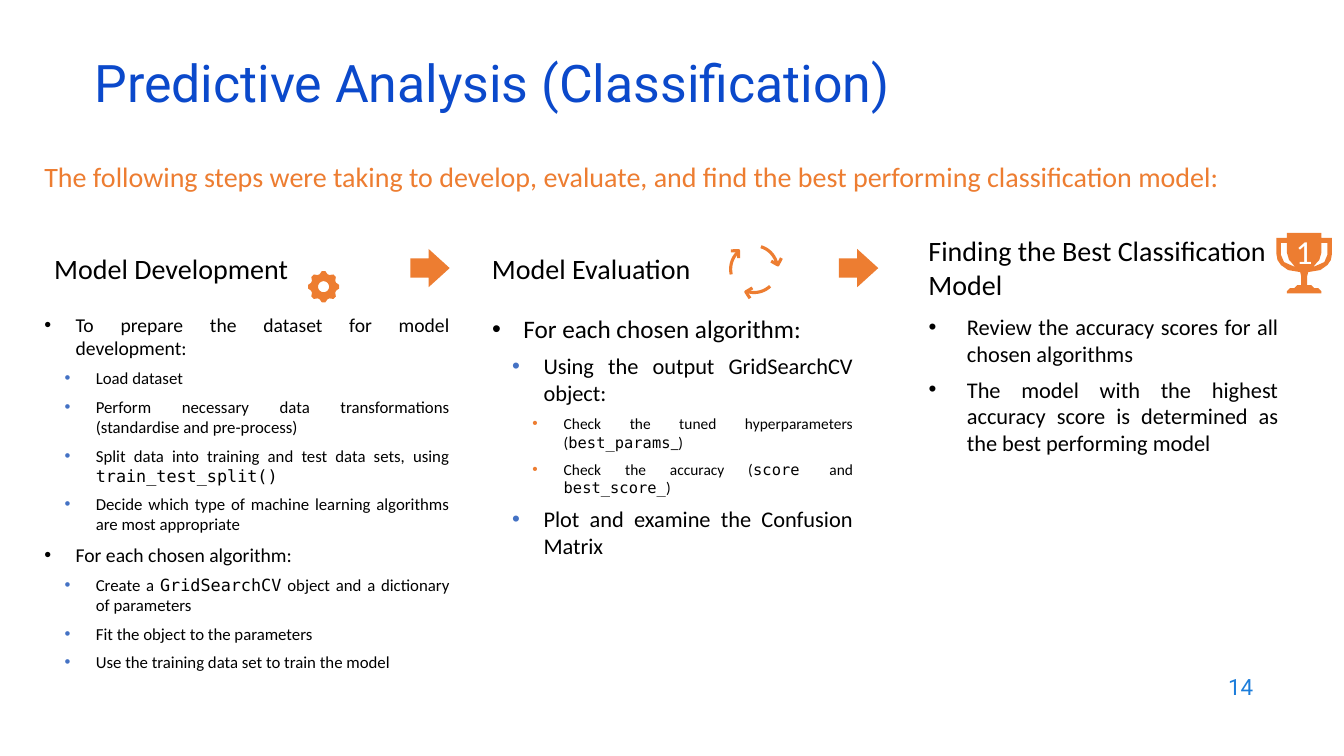
import dataclasses
import math
from typing import Any, NamedTuple, Sequence

import pptx
import pptx.dml.color
import pptx.enum.shapes
import pptx.enum.text
import pptx.oxml.ns
import pptx.util
from lxml import etree

ALIGN = pptx.enum.text.PP_ALIGN
ANCHOR = pptx.enum.text.MSO_ANCHOR
Outline = Sequence[tuple[float, float]]


@dataclasses.dataclass(frozen=True)
class Theme:
    ink: str = "000000"
    accent: str = "ED7D31"
    title: str = "0B49CB"
    number: str = "1C7DDB"
    paper: str = "FFFFFF"
    bullets: tuple[str, ...] = ("000000", "4472C4", "ED7D31")
    sans: str = "Calibri"
    display: str = "Roboto"
    mono: str = "DejaVu Sans Mono"
    title_size: int = 37
    icon_size: int = 24
    heading_size: int = 20
    number_size: int = 16
    # Type size of each list level, one row per stage
    develop_sizes: tuple[int, ...] = (14, 12)
    evaluate_sizes: tuple[int, ...] = (18, 16, 11)
    select_sizes: tuple[int, ...] = (16,)


class Area(NamedTuple):
    """Place in columns and rows; the slide has 100 of each."""
    left: float
    top: float
    width: float
    height: float


class Item(NamedTuple):
    level: int
    text: str  # backticks enclose code


class Stage(NamedTuple):
    heading: str
    heading_area: Area
    heading_anchor: Any
    placeholder: int
    list_area: Area
    inset: bool
    hanging: float
    sizes: tuple[int, ...]
    items: list[Item]


THEME = Theme()
WIDTH, HEIGHT = pptx.util.Inches(13.33), pptx.util.Inches(7.5)
COLUMN, ROW = WIDTH / 100, HEIGHT / 100
LEVEL_STEP = 1.5
GAP = pptx.util.Pt(6)

STAGES = [
    Stage("Model Development", Area(3.3, 30.4, 28.36, 10.27), ANCHOR.MIDDLE,
          1, Area(3.3, 41.33, 30.16, 49.6), False, 2.33, THEME.develop_sizes, [
              Item(0, "To prepare the dataset for model development:"),
              Item(1, "Load dataset"),
              Item(1, "Perform necessary data transformations (standardise and pre-process)"),
              Item(1, "Split data into training and test data sets, using `train_test_split()`"),
              Item(1, "Decide which type of machine learning algorithms are most appropriate"),
              Item(0, "For each chosen algorithm:"),
              Item(1, "Create a `GridSearchCV` object and a dictionary of parameters"),
              Item(1, "Fit the object to the parameters"),
              Item(1, "Use the training data set to train the model")]),
    Stage("Model Evaluation", Area(35.86, 30.93, 20.93, 9.2), ANCHOR.MIDDLE,
          2, Area(35.86, 40.8, 28.36, 50.13), True, 2.33, THEME.evaluate_sizes, [
              Item(0, "For each chosen algorithm:"),
              Item(1, "Using the output GridSearchCV object:"),
              Item(2, "Check the tuned hyperparameters (`best_params`_)"),
              Item(2, "Check the accuracy (`score `and `best_score_`)"),
              Item(1, "Plot and examine the Confusion Matrix")]),
    Stage("Finding the Best Classification Model", Area(68.34, 30.27, 28.36, 10.53), ANCHOR.TOP,
          4, Area(68.34, 40.8, 27.53, 50.13), True, 2.85, THEME.select_sizes, [
              Item(0, "Review the accuracy scores for all chosen algorithms"),
              Item(0, "The model with the highest accuracy score is determined "
                      "as the best performing model")]),
]
STAGE_ARROWS = [Area(left, 32.93, 2.93, 5.07) for left in (30.53, 62.42)]

# Right halves of the trophy, in rows from the middle of its top edge
CUP = [(2.27, 0), (2.27, .67), (3.67, .67), (3.67, 2.8), (3.53, 3.6), (3.07, 4.27),
       (2.13, 4.93), (.53, 5.2), (.4, 5.73), (.4, 6.93), (.93, 6.93), (1.33, 7.33),
       (1.87, 7.33), (2.27, 7.73), (2.27, 8)]
HANDLE = [(2.27, 1.33), (3.07, 1.33), (3.07, 2.93), (2.67, 3.87), (1.2, 4.53),
          (1.73, 3.87), (2, 3.6), (2.27, 2.67)]


def apply(target: Any, values: dict[str, Any]) -> None:
    for name, value in values.items():
        setattr(target, name, value)


def rgb(color: str) -> pptx.dml.color.RGBColor:
    return pptx.dml.color.RGBColor.from_string(color)


def emu(area: Area) -> dict[str, int]:
    return {"left": round(area.left * COLUMN), "top": round(area.top * ROW),
            "width": round(area.width * COLUMN), "height": round(area.height * ROW)}


def set_frame(frame: Any, anchor: Any, inset: bool = True) -> None:
    apply(frame, {"word_wrap": True, "vertical_anchor": anchor,
                  "auto_size": pptx.enum.text.MSO_AUTO_SIZE.NONE})
    if not inset:
        apply(frame, dict.fromkeys(
            ("margin_left", "margin_top", "margin_right", "margin_bottom"), 0))


def write(paragraph: Any, text: str, size: int, color: str, face: str = THEME.sans,
          align: Any = ALIGN.LEFT, after: int = 0, spacing: float = 1.0) -> None:
    apply(paragraph, {"alignment": align, "space_before": 0, "space_after": after,
                      "line_spacing": spacing})
    for index, part in enumerate(text.split("`")):
        if part:
            run = paragraph.add_run()
            run.text = part
            apply(run.font, {"size": pptx.util.Pt(size), "bold": False,
                             "name": THEME.mono if index % 2 else face})
            run.font.color.rgb = rgb(color)


def add_bullet(paragraph: Any, level: int, hanging: float) -> None:
    qn = pptx.oxml.ns.qn
    paragraph.level = level
    properties = paragraph._p.get_or_add_pPr()
    properties.set("marL", str(round((hanging + level * LEVEL_STEP) * COLUMN)))
    properties.set("indent", str(round(-hanging * COLUMN)))
    tint = etree.SubElement(properties, qn("a:buClr"))
    etree.SubElement(tint, qn("a:srgbClr"), val=THEME.bullets[level])
    etree.SubElement(properties, qn("a:buFont"), typeface="Arial")
    etree.SubElement(properties, qn("a:buChar"), char="•")


def add_label(slide: Any, area: Area, anchor: Any) -> Any:
    """Add an empty text box and return its first paragraph."""
    frame = slide.shapes.add_textbox(**emu(area)).text_frame
    set_frame(frame, anchor)
    return frame.paragraphs[0]


def place(placeholder: Any, area: Area, anchor: Any, inset: bool = True) -> Any:
    """Move a placeholder and return its text frame."""
    apply(placeholder, emu(area))
    set_frame(placeholder.text_frame, anchor, inset)
    return placeholder.text_frame


def add_stage(slide: Any, stage: Stage) -> None:
    write(add_label(slide, stage.heading_area, stage.heading_anchor),
          stage.heading, THEME.heading_size, THEME.ink, after=GAP)
    frame = place(slide.placeholders[stage.placeholder], stage.list_area, ANCHOR.TOP, stage.inset)
    for index, item in enumerate(stage.items):
        paragraph = frame.add_paragraph() if index else frame.paragraphs[0]
        add_bullet(paragraph, item.level, stage.hanging)
        write(paragraph, item.text, stage.sizes[item.level], THEME.ink,
              align=ALIGN.JUSTIFY, after=GAP)


def fill_accent(shape: Any) -> None:
    shape.shadow.inherit = False
    shape.fill.solid()
    shape.fill.fore_color.rgb = rgb(THEME.accent)
    shape.line.fill.background()


def add_outlines(slide: Any, column: float, row: float, outlines: Sequence[Outline],
                 stroke: float = 0) -> Any:
    """Draw outlines given in rows around a grid point: filled, or open when stroked."""
    contours = [[(round(column * COLUMN + x * ROW), round((row + y) * ROW)) for x, y in outline]
                for outline in outlines]
    builder = slide.shapes.build_freeform(*contours[0][0], scale=1.0)
    for index, contour in enumerate(contours):
        if index:
            builder.move_to(*contour[0])
        builder.add_line_segments(contour[1:], close=not stroke)
    shape = builder.convert_to_shape()
    fill_accent(shape)
    if stroke:
        shape.fill.background()
        shape.line.color.rgb = rgb(THEME.accent)
        shape.line.width = pptx.util.Pt(stroke)
    return shape


def polar(radius: float, degrees: float) -> tuple[float, float]:
    angle = math.radians(degrees)
    return radius * math.cos(angle), radius * math.sin(angle)


def add_gear(slide: Any) -> None:
    teeth = [polar(radius, tooth + offset) for tooth in range(0, 360, 45)
             for radius, offset in ((1.73, -18), (2.07, -6.5), (2.07, 6.5), (1.73, 18))]
    hole = [polar(.73, -angle) for angle in range(0, 360, 15)]
    add_outlines(slide, 24.08, 37.93, [teeth, hole])


def add_cycle(slide: Any) -> None:
    for start in (-73, 47, 167):
        arc = [polar(3.1, start + sweep) for sweep in range(0, 61, 5)]
        head = [polar(2.5, start + 48), polar(3.2, start + 63), polar(3.9, start + 51)]
        add_outlines(slide, 56.11, 35.6, [arc, head], stroke=2.25)


def add_trophy(slide: Any) -> None:
    left_handle = [(-x, y) for x, y in HANDLE]
    cup = CUP + [(-x, y) for x, y in reversed(CUP)]
    frame = add_outlines(slide, 97.04, 30.8, [cup, HANDLE[::-1], left_handle]).text_frame
    set_frame(frame, ANCHOR.MIDDLE, inset=False)
    frame.margin_bottom = round(3.2 * ROW)
    write(frame.paragraphs[0], "1", THEME.icon_size, THEME.paper, align=ALIGN.CENTER)


def main() -> None:
    deck = pptx.Presentation()
    apply(deck, {"slide_width": WIDTH, "slide_height": HEIGHT})
    slide = deck.slides.add_slide(deck.slide_layouts.get_by_name("Comparison"))

    title = place(slide.shapes.title, Area(6.3, 7.87, 86.27, 8), ANCHOR.MIDDLE)
    write(title.paragraphs[0], "Predictive Analysis (Classification)", THEME.title_size,
          THEME.title, THEME.display, spacing=.7)
    lead = place(slide.placeholders[3], Area(3.3, 21.07, 93.55, 8), ANCHOR.TOP, inset=False)
    write(lead.paragraphs[0], "The following steps were taking to develop, evaluate, and find "
          "the best performing classification model:", THEME.heading_size, THEME.accent, after=GAP)

    for stage in STAGES:
        add_stage(slide, stage)
    for area in STAGE_ARROWS:
        arrow = slide.shapes.add_shape(
            pptx.enum.shapes.MSO_SHAPE.RIGHT_ARROW, **emu(area))
        arrow.adjustments[1] = .55
        fill_accent(arrow)
    add_gear(slide)
    add_cycle(slide)
    add_trophy(slide)
    write(add_label(slide, Area(71.49, 87.87, 22.5, 5.87), ANCHOR.MIDDLE), "14",
          THEME.number_size, THEME.number, THEME.display, ALIGN.RIGHT)
    deck.save("out.pptx")


if __name__ == "__main__":
    main()
